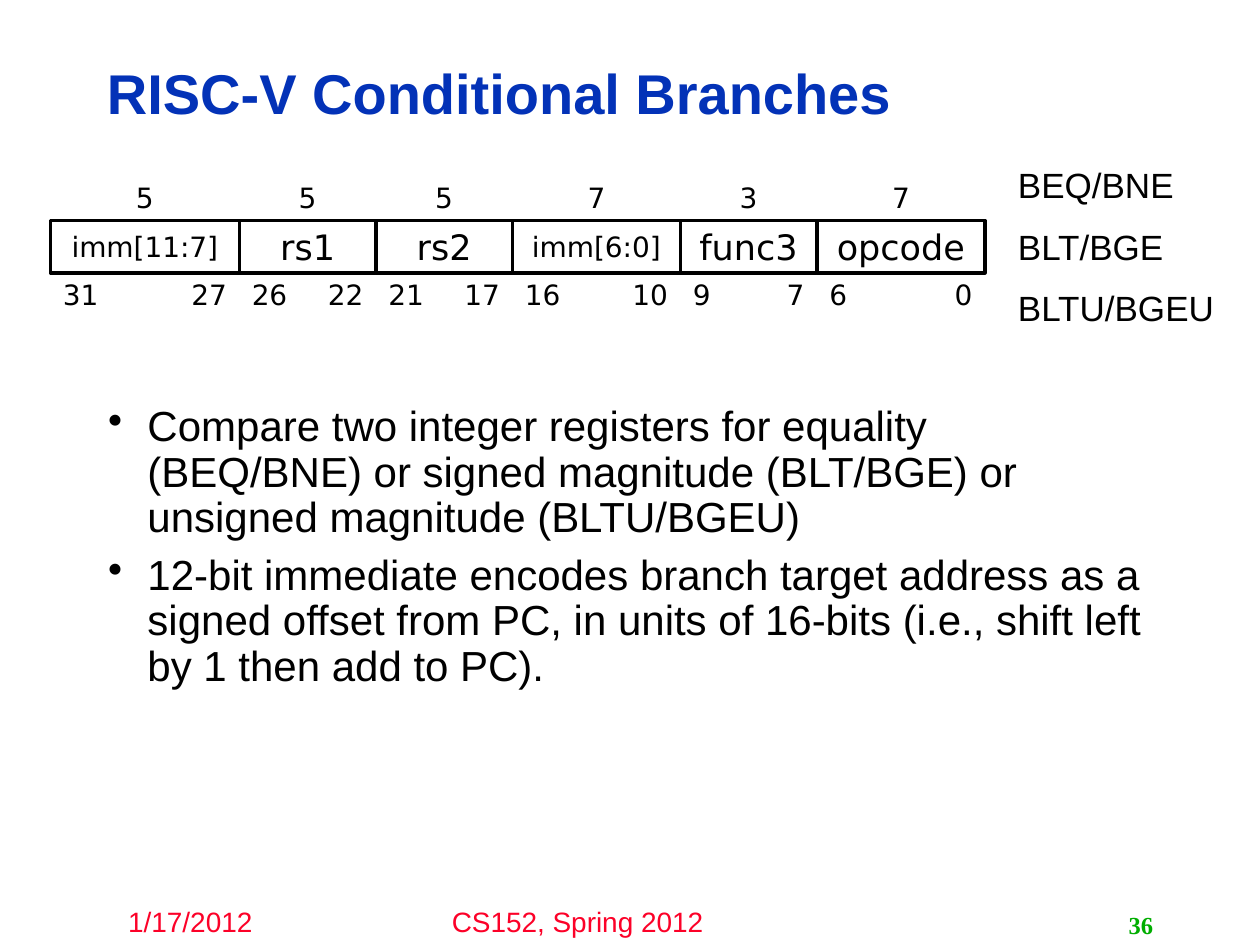
from typing import NamedTuple

from pptx import Presentation
from pptx.dml.color import RGBColor
from pptx.enum import shapes, text
from pptx.oxml import xmlchemy as xml
from pptx.util import Pt

BLACK = RGBColor(0x00, 0x00, 0x00)
WHITE = RGBColor(0xFF, 0xFF, 0xFF)
BLUE = RGBColor(0x03, 0x32, 0xB7)
RED = RGBColor(0xFC, 0x01, 0x28)
GREEN = RGBColor(0x00, 0xAE, 0x00)
SANS, MONO, SERIF = "Arial", "DejaVu Sans", "Times New Roman"
LEFT, MID, RIGHT = text.PP_ALIGN.LEFT, text.PP_ALIGN.CENTER, text.PP_ALIGN.RIGHT
TOP, CORE, BASE = (text.MSO_ANCHOR.TOP, text.MSO_ANCHOR.MIDDLE,
                   text.MSO_ANCHOR.BOTTOM)


class Box(NamedTuple):
    left: float
    top: float
    width: float
    height: float


class Field(NamedTuple):
    name: str
    bits: int
    width: float
    size: float = 20


FIELDS = [
    Field("imm[11:7]", 5, 108, 16),
    Field("rs1", 5, 78),
    Field("rs2", 5, 78),
    Field("imm[6:0]", 7, 96, 16),
    Field("func3", 3, 78),
    Field("opcode", 7, 96),
]


def write(shape, *lines: str, size: float = 16, font: str = SANS,
          color: RGBColor = BLACK, bold: bool = False, align=LEFT,
          anchor=TOP, wrap: bool = True, gap: float = 0,
          pitch: float = 1, bullet: bool = False) -> None:
    """Fill a shape with one paragraph per line; gap goes between them."""
    frame = shape.text_frame
    frame.word_wrap = wrap
    frame.vertical_anchor = anchor
    for i, line in enumerate(lines):
        para = frame.paragraphs[0] if i == 0 else frame.add_paragraph()
        para.alignment = align
        para.line_spacing = pitch
        if i:
            para.space_before = Pt(gap)
        if bullet:
            props = para._p.get_or_add_pPr()
            props.set("marL", str(Pt(22.5)))
            props.set("indent", str(Pt(-22.5)))
            mark = xml.OxmlElement("a:buChar")
            mark.set("char", "•")
            props.append(mark)
        run = para.add_run()
        run.text = line
        run.font.size = Pt(size)
        run.font.name = font
        run.font.bold = bold
        run.font.color.rgb = color


def label(slide, box: Box, *lines: str, **style) -> None:
    write(slide.shapes.add_textbox(*map(Pt, box)), *lines, **style)


def cell(group, box: Box, words: str, edge: bool = False, **style) -> None:
    rect = group.shapes.add_shape(shapes.MSO_SHAPE.RECTANGLE, *map(Pt, box))
    rect.shadow.inherit = False
    rect.fill.solid()
    rect.fill.fore_color.rgb = WHITE
    if edge:
        rect.line.color.rgb = BLACK
        rect.line.width = Pt(2)
    else:
        rect.line.fill.background()
    write(rect, words, font=MONO, **style)


def draw(slide, field: Field, left: float, high: int) -> None:
    """Draw a field with its bit count above and its bit range below."""
    group = slide.shapes.add_group_shape()
    half = field.width / 2
    low = high - field.bits + 1
    cell(group, Box(left, 102, field.width, 24), str(field.bits),
         align=MID, anchor=BASE)
    cell(group, Box(left, 156, half, 24), str(high), anchor=CORE)
    cell(group, Box(left + half, 156, half, 24), str(low),
         align=RIGHT, anchor=CORE)
    cell(group, Box(left, 126, field.width, 30), field.name, edge=True,
         size=field.size, align=MID, anchor=CORE)


def main() -> None:
    deck = Presentation()
    deck.slide_width, deck.slide_height = Pt(720), Pt(540)
    slide = deck.slides.add_slide(deck.slide_layouts[6])

    label(slide, Box(66.2, 513.4, 86.4, 26.6), "1/17/2012", color=RED)
    label(slide, Box(210.2, 513.4, 239.8, 26.6), "CS152, Spring 2012",
          color=RED, align=MID)
    label(slide, Box(54, 26, 574.6, 58.3), "RISC-V Conditional Branches",
          size=32, color=BLUE, bold=True, anchor=CORE, pitch=0.9)
    label(slide, Box(54.7, 228.2, 604.8, 254.2),
          "Compare two integer registers for equality (BEQ/BNE) or signed "
          "magnitude (BLT/BGE) or unsigned magnitude (BLTU/BGEU)",
          "12-bit immediate encodes branch target address as a signed offset "
          "from PC, in units of 16-bits (i.e., shift left by 1 then add to PC).",
          size=24, gap=7.3, pitch=0.9, bullet=True)
    label(slide, Box(516.2, 517, 149.8, 23), "36", size=14, font=SERIF,
          color=GREEN, bold=True, align=RIGHT, anchor=CORE)

    left, high = 28.8, 31
    for field in FIELDS:
        draw(slide, field, left, high)
        left += field.width
        high -= field.bits

    label(slide, Box(574.6, 90, 127.4, 104.4), "BEQ/BNE", "BLT/BGE",
          "BLTU/BGEU", size=20, gap=11.2, wrap=False)
    deck.save("out.pptx")


if __name__ == "__main__":
    main()
